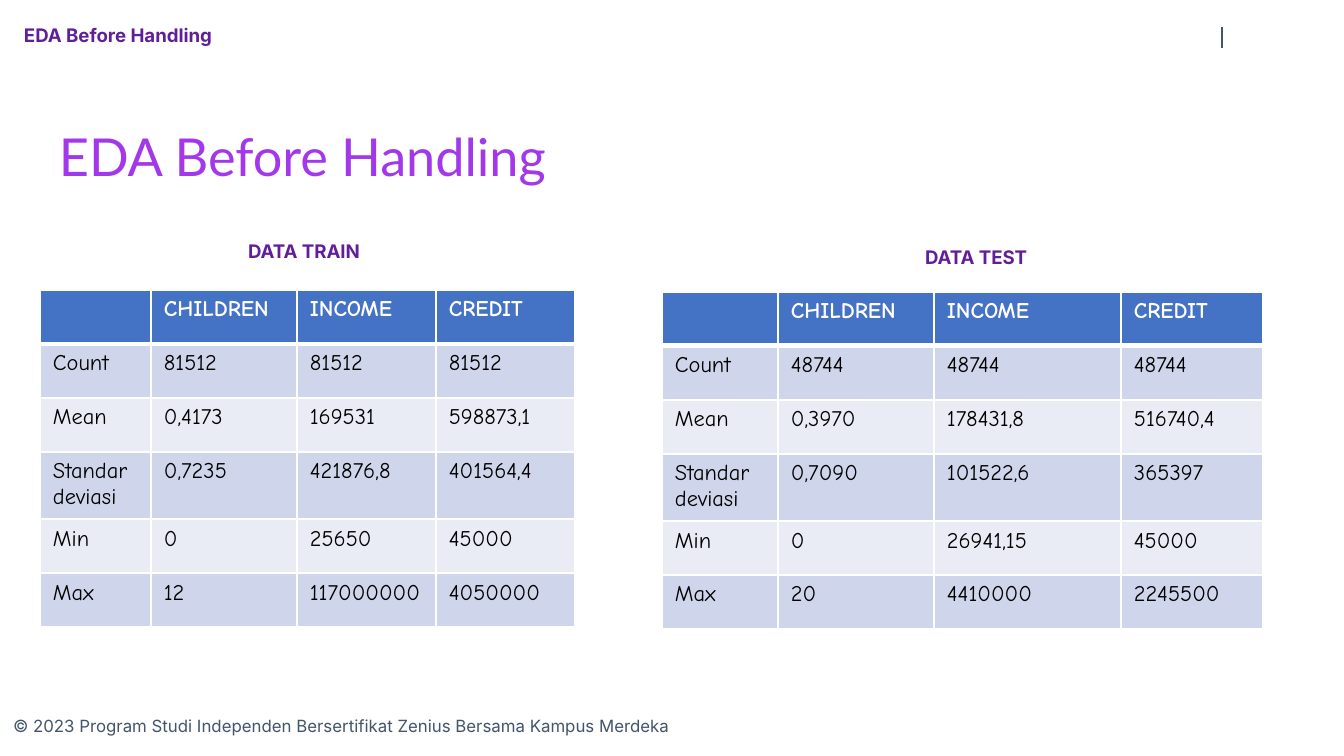
from dataclasses import dataclass

from lxml.etree import SubElement
from pptx import Presentation
from pptx.dml.color import RGBColor
from pptx.enum.shapes import MSO_CONNECTOR as Connector
from pptx.enum.text import MSO_ANCHOR as Anchor, MSO_AUTO_SIZE as AutoSize
from pptx.oxml.ns import qn
from pptx.util import Pt

EMU_PER_PX = 914400 / 134.4


@dataclass(frozen=True)
class Theme:
    """Colours, fonts and type sizes of the slide."""
    white: str = "FFFFFF"
    black: str = "000000"
    slate: str = "44546A"
    purple: str = "601F99"
    violet: str = "A338EB"
    header: str = "4472C4"
    bands: tuple = ("CFD5EA", "E9EBF5")
    ui_font: str = "Inter"
    title_font: str = "Lato"
    table_font: str = "Comic Neue"
    title_size: int = 28
    table_size: int = 12
    label_size: int = 10
    footer_size: int = 9
    thin: int = 1
    thick: int = 3


THEME = Theme()
HEADER = ("", "CHILDREN", "INCOME", "CREDIT")
MEASURES = ("Count", "Mean", "Standar deviasi", "Min", "Max")
TRAIN = (
    ("81512", "81512", "81512"),
    ("0,4173", "169531", "598873,1"),
    ("0,7235", "421876,8", "401564,4"),
    ("0", "25650", "45000"),
    ("12", "117000000", "4050000"),
)
TEST = (
    ("48744", "48744", "48744"),
    ("0,3970", "178431,8", "516740,4"),
    ("0,7090", "101522,6", "365397"),
    ("0", "26941,15", "45000"),
    ("20", "4410000", "2245500"),
)


def px(length):
    """Turn pixels into EMU."""
    return round(length * EMU_PER_PX)


def style_text(frame, font, size, color, bold=False):
    """Format every run of a text frame."""
    for para in frame.paragraphs:
        for span in para.runs:
            span.font.name = font
            span.font.size = Pt(size)
            span.font.bold = bold
            span.font.color.rgb = RGBColor.from_string(color)


def add_text(page, text, area, font, size, color, bold=False):
    """Add a wrapped text box with even insets and return its frame."""
    frame = page.shapes.add_textbox(*map(px, area)).text_frame
    frame.word_wrap = True
    frame.auto_size = AutoSize.SHAPE_TO_FIT_TEXT
    frame.margin_left = frame.margin_right = px(13)
    frame.margin_top = frame.margin_bottom = px(13)
    frame.text = text
    style_text(frame, font, size, color, bold)
    return frame


def add_label(page, text, area):
    """Add a small bold purple label."""
    add_text(page, text, area, THEME.ui_font, THEME.label_size, THEME.purple, True)


def add_title(page, text, area):
    """Add the large title, centred vertically in its area."""
    frame = add_text(page, text, area, THEME.title_font, THEME.title_size, THEME.violet)
    frame.auto_size = AutoSize.NONE
    frame.vertical_anchor = Anchor.MIDDLE
    frame.paragraphs[0].line_spacing = 0.9


def add_divider(page, x, top, bottom):
    """Add a thin vertical line."""
    line = page.shapes.add_connector(Connector.STRAIGHT, px(x), px(top), px(x), px(bottom))
    line.line.color.rgb = RGBColor.from_string(THEME.slate)
    line.line.width = Pt(0.75)
    SubElement(line._element.spPr, qn("a:effectLst"))


def set_borders(cell, top, bottom):
    """Draw white borders around a cell, with the given top and bottom widths."""
    properties = cell._tc.get_or_add_tcPr()
    widths = {"lnL": THEME.thin, "lnR": THEME.thin, "lnT": top, "lnB": bottom}
    for side, width in widths.items():
        border = SubElement(properties, qn(f"a:{side}"), w=str(Pt(width)))
        fill = SubElement(border, qn("a:solidFill"))
        SubElement(fill, qn("a:srgbClr"), val=THEME.white)


def style_cell(cell, row):
    """Give a cell the border, fill and font of its row."""
    is_header = row == 0
    set_borders(cell, THEME.thick if row == 1 else THEME.thin,
                THEME.thick if is_header else THEME.thin)
    cell.fill.solid()
    fill = THEME.header if is_header else THEME.bands[(row - 1) % 2]
    cell.fill.fore_color.rgb = RGBColor.from_string(fill)
    color = THEME.white if is_header else THEME.black
    style_text(cell.text_frame, THEME.table_font, THEME.table_size, color, is_header)


def add_statistics(page, left, top, widths, values, row_height=54):
    """Add a table of summary statistics."""
    rows = [HEADER] + [(name, *numbers) for name, numbers in zip(MEASURES, values)]
    table = page.shapes.add_table(
        len(rows), len(widths), px(left), px(top),
        px(sum(widths)), px(row_height * len(rows))).table
    for column, width in zip(table.columns, widths):
        column.width = px(width)
    for row, texts in enumerate(rows):
        table.rows[row].height = px(row_height)
        for column, text in enumerate(texts):
            cell = table.cell(row, column)
            cell.margin_left = cell.margin_right = px(13)
            cell.text_frame.text = text
            style_cell(cell, row)


def main():
    """Build the slide and save it."""
    deck = Presentation()
    deck.slide_width, deck.slide_height = px(1344), px(756)
    page = deck.slides.add_slide(deck.slide_layouts[6])
    add_text(page, "© 2023 Program Studi Independen Bersertifikat Zenius Bersama Kampus Merdeka",
             (0, 706, 1314, 47), THEME.ui_font, THEME.footer_size, THEME.slate)
    add_divider(page, 1222, 27, 48)
    add_title(page, "EDA Before Handling", (46, 99, 1246, 121))
    add_label(page, "EDA Before Handling", (11, 13, 894, 50))
    add_statistics(page, 40, 290, (111, 146, 139, 139), TRAIN)
    add_statistics(page, 662, 292, (116, 156, 187, 142), TEST)
    add_label(page, "DATA TRAIN", (235, 229, 239, 50))
    add_label(page, "DATA TEST", (912, 235, 192, 50))
    deck.save("out.pptx")


if __name__ == "__main__":
    main()
